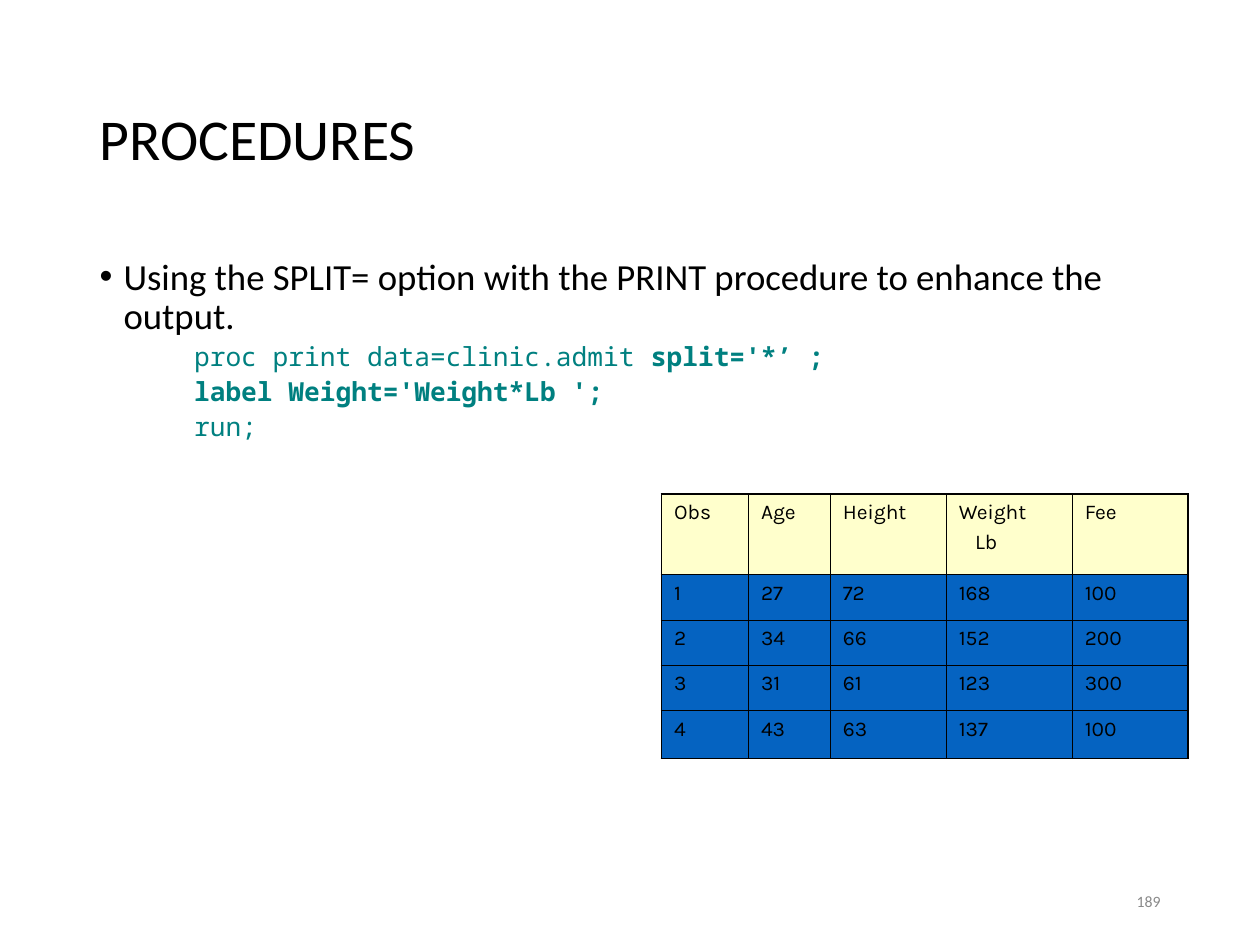
from lxml.etree import SubElement
from pptx import Presentation
from pptx.dml.color import RGBColor
from pptx.enum.text import MSO_ANCHOR as Anchor, MSO_AUTO_SIZE as AutoSize, PP_ALIGN as Align
from pptx.oxml.ns import qn
from pptx.util import Inches, Pt

BLACK, TEAL, GREY = "000000", "008080", "898989"
CREAM, BLUE = "FFFFCC", "0563C1"
THIN, THICK = 0.45, 1.08

CODE_LINES = [
    [("proc print data=clinic.admit ", False), ("split='*’ ;", True)],
    [("label Weight='Weight*Lb ';", True)],
    [("run;", False)],
]
COLUMN_WIDTHS = [0.69, 0.65, 0.92, 1, 0.92]
ROW_HEIGHTS = [0.64, 0.36, 0.36, 0.36, 0.38]
ADMISSIONS = [
    ["Obs", "Age", "Height", "Weight\nLb", "Fee"],
    ["1", "27", "72", "168", "100"],
    ["2", "34", "66", "152", "200"],
    ["3", "31", "61", "123", "300"],
    ["4", "43", "63", "137", "100"],
]


def color(value):
    return RGBColor.from_string(value)


def add_run(paragraph, text, size, font_name="Calibri", text_color=BLACK, bold=False):
    run = paragraph.add_run()
    run.text = text
    run.font.size = Pt(size)
    run.font.name = font_name
    run.font.bold = bold
    run.font.color.rgb = color(text_color)


def place(shape, left, top, width, height, anchor):
    """Position a text shape and return its wrapped text frame."""
    shape.left, shape.top = Inches(left), Inches(top)
    shape.width, shape.height = Inches(width), Inches(height)
    frame = shape.text_frame
    frame.word_wrap = True
    frame.auto_size = AutoSize.NONE
    frame.vertical_anchor = anchor
    return frame


def set_indent(paragraph, left, first_line=0):
    properties = paragraph._p.get_or_add_pPr()
    properties.set("marL", str(Inches(left)))
    properties.set("indent", str(Inches(first_line)))


def set_bullet(paragraph, character=None):
    properties = paragraph._p.get_or_add_pPr()
    if character:
        SubElement(properties, qn("a:buChar"), char=character)
    else:
        SubElement(properties, qn("a:buNone"))


def set_spacing(paragraph, before):
    paragraph.alignment = Align.LEFT
    paragraph.line_spacing = 0.9
    paragraph.space_before = Pt(before)


def fill_title(shape):
    frame = place(shape, 0.69, 0.4, 8.63, 1.45, Anchor.MIDDLE)
    paragraph = frame.paragraphs[0]
    set_spacing(paragraph, 0)
    add_run(paragraph, "PROCEDURES", 33)


def fill_body(shape):
    frame = place(shape, 0.69, 2, 8.63, 4.76, Anchor.TOP)
    paragraph = frame.paragraphs[0]
    set_indent(paragraph, 0.19, -0.19)
    set_bullet(paragraph, "•")
    set_spacing(paragraph, 0)
    add_run(paragraph, "Using the SPLIT= option with the PRINT procedure to enhance the output.", 21)
    for code_line in CODE_LINES:
        paragraph = frame.add_paragraph()
        paragraph.level = 2
        set_indent(paragraph, 0.94, -0.19)
        set_bullet(paragraph)
        set_spacing(paragraph, 3.7)
        for text, bold in code_line:
            add_run(paragraph, text, 15, "Noto Sans Mono", TEAL, bold)


def add_slide_number(slide):
    box = slide.shapes.add_textbox(0, 0, 0, 0)
    paragraph = place(box, 7.06, 6.95, 2.25, 0.4, Anchor.MIDDLE).paragraphs[0]
    paragraph.alignment = Align.RIGHT
    add_run(paragraph, "189", 9, text_color=GREY)


def set_borders(cell, widths):
    """Draw the borders; widths are in points for left, right, top, bottom."""
    properties = cell._tc.get_or_add_tcPr()
    for side, width in zip("LRTB", widths):
        line = SubElement(properties, qn(f"a:ln{side}"), w=str(Pt(width)))
        SubElement(SubElement(line, qn("a:solidFill")), qn("a:srgbClr"), val=BLACK)


def fill_cell(cell, text, fill_color):
    cell.fill.solid()
    cell.fill.fore_color.rgb = color(fill_color)
    for index, line in enumerate(text.split("\n")):
        if index == 0:
            paragraph = cell.text_frame.paragraphs[0]
        else:
            paragraph = cell.text_frame.add_paragraph()
            paragraph.space_before = Pt(3)
            set_indent(paragraph, 0.13)
        add_run(paragraph, line, 12, "Karla")


def add_admissions_table(slide):
    last_row, last_column = len(ROW_HEIGHTS) - 1, len(COLUMN_WIDTHS) - 1
    table = slide.shapes.add_table(
        len(ROW_HEIGHTS), len(COLUMN_WIDTHS), Inches(5.25), Inches(3.92),
        Inches(sum(COLUMN_WIDTHS)), Inches(sum(ROW_HEIGHTS))).table
    table.first_row = table.horz_banding = False
    for column, width in zip(table.columns, COLUMN_WIDTHS):
        column.width = Inches(width)
    for row, height in zip(table.rows, ROW_HEIGHTS):
        row.height = Inches(height)
    for row_index, values in enumerate(ADMISSIONS):
        for column_index, text in enumerate(values):
            cell = table.cell(row_index, column_index)
            outer_sides = (column_index == 0, column_index == last_column,
                           row_index == 0, row_index == last_row)
            set_borders(cell, [THICK if outer else THIN for outer in outer_sides])
            fill_cell(cell, text, CREAM if row_index == 0 else BLUE)


def main():
    presentation = Presentation()
    presentation.slide_width, presentation.slide_height = Inches(10), Inches(7.5)
    slide = presentation.slides.add_slide(presentation.slide_layouts[1])
    fill_title(slide.shapes.title)
    fill_body(slide.placeholders[1])
    add_slide_number(slide)
    add_admissions_table(slide)
    presentation.save("out.pptx")


if __name__ == "__main__":
    main()
